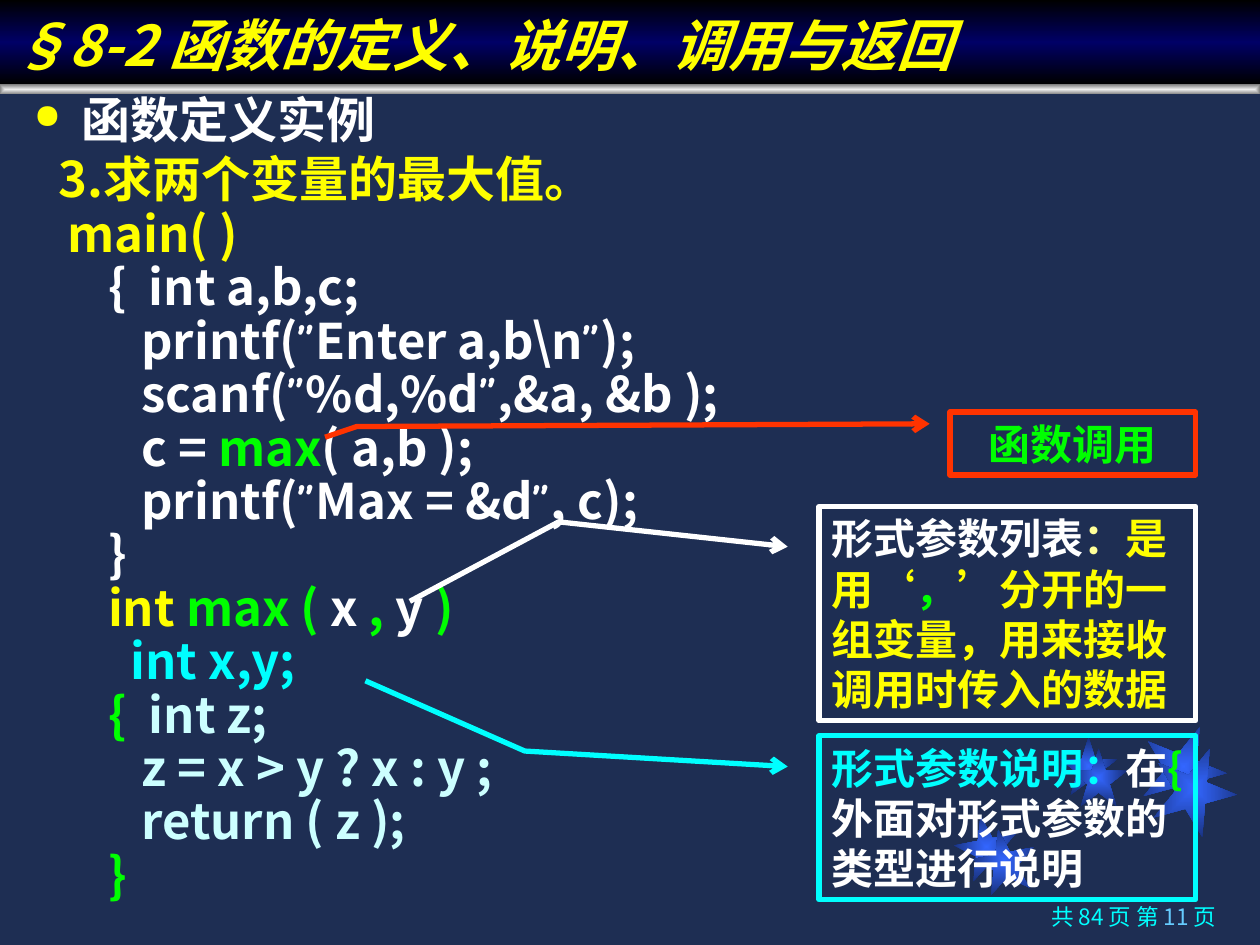
from lxml import etree
from pptx import Presentation
from pptx.dml.color import RGBColor
from pptx.enum.shapes import MSO_SHAPE
from pptx.enum.text import MSO_ANCHOR, PP_ALIGN
from pptx.oxml.ns import qn
from pptx.util import Inches, Pt

STAR, RECT, CALLOUT = MSO_SHAPE.STAR_5_POINT, MSO_SHAPE.RECTANGLE, MSO_SHAPE.LINE_CALLOUT_2
LEFT, CENTER, RIGHT = PP_ALIGN.LEFT, PP_ALIGN.CENTER, PP_ALIGN.RIGHT
TOP, MIDDLE, BOTTOM = MSO_ANCHOR.TOP, MSO_ANCHOR.MIDDLE, MSO_ANCHOR.BOTTOM

THEME = {
    "bg": "1E2E53", "white": "FFFFFF", "yellow": "FFFF00", "green": "00FF00",
    "cyan": "00FFFF", "pale": "CCFFFF", "sky": "66CCFF", "cream": "FFFF99", "red": "FF3300",
    "star": ((0, "3366FF"), (100, "182F76")),
    "rule": ((0, "EDEDED"), (100, "808080")),
    "band": ((0, "000000"), (50, "000066"), (100, "000000")),
    "title_size": 32, "body_size": 28, "note_size": 24, "page_size": 12.9,
    "sans": "Noto Sans CJK SC", "quote": "Comic Neue", "head": "Arial", "serif": "Times New Roman",
}

TITLE = "§8-2 函数的定义、说明、调用与返回"
HEADING = [("函数定义实例", "white", "head")]
EXAMPLE = [("3.求两个变量的最大值。", "yellow")]
MAIN = [("   main( )", "yellow")]
QUOTE = ("”", "white", "quote")
CODE = [
    [("{  int a,b,c;", "white")],
    [("   printf(", "white"), QUOTE, ("Enter a,b\\n", "white"), QUOTE, (");", "white")],
    [("   scanf(", "white"), QUOTE, ("%d,%d", "white"), QUOTE, (",&a, &b );", "white")],
    [("   c = ", "white"), ("max", "green"), ("( a,b );", "white")],
    [("   printf(", "white"), QUOTE, ("Max = &d", "white"), QUOTE, (", c);", "white")],
    [("}", "white")],
    [("int ", "yellow"), ("max ( ", "green"), ("x ", "white"), (",", "green"),
     (" y ", "white"), (")", "green")],
    [("  int x,y;", "cyan")],
    [("{", "green"), ("  int z;", "pale")],
    [("   z = x > y ? x : y ;", "pale")],
    [("   return ( z );", "pale")],
    [("}", "green")],
]
PAGE = [("共 84 页 第 ", "cyan"), ("11 ", "sky"), ("页", "cyan")]

CALLOUTS = [
    {"box": (6.5, 4.02, 2.99, 1.7), "line": "white", "align": LEFT,
     "leader": (0.188, -0.083, 0.072, -0.691, 0.443, -1.086),
     "runs": [("形式参数列表", "white", "serif"), ("：", "cream"), ("是用‘", "yellow"),
              ("，", "green"), ("’分开的一组变量，用来接收调用时传入的数据", "yellow")]},
    {"box": (6.5, 5.84, 2.99, 1.3), "line": "cyan", "align": LEFT,
     "leader": (0.188, -0.083, 0.093, -0.781, -0.336, -1.204),
     "runs": [("形式参数说明：", "cyan", "serif"), ("在", "white"), ("{ ", "green"),
              ("外面对形式参数的类型进行说明", "white")]},
    {"box": (7.54, 3.27, 1.95, 0.5), "line": "red", "align": CENTER,
     "leader": (0.188, -0.083, 0.231, -2.415, 0.401, -2.544),
     "runs": [("函数调用", "green", "serif")]},
]

STARS = [
    (7.58, 6.47, 0.5, 349), (8.41, 5.85, 0.46, 0), (9.06, 5.75, 0.67, 22),
    (7.72, 6.58, 0.5, 349), (8.49, 5.94, 0.46, 0), (9.14, 5.92, 0.67, 22),
]


def color(name):
    return RGBColor.from_string(THEME[name])


def sub(parent, tag, **attrs):
    return etree.SubElement(parent, qn(tag), {k: str(v) for k, v in attrs.items()})


def gradient(shape, stops, from_center):
    shape.fill.gradient()
    grad = shape.fill._xPr.find(qn("a:gradFill"))
    for child in list(grad):
        grad.remove(child)
    gs_list = sub(grad, "a:gsLst")
    for pos, rgb in stops:
        sub(sub(gs_list, "a:gs", pos=pos * 1000), "a:srgbClr", val=rgb)
    if from_center:
        path = sub(grad, "a:path", path="rect")
        sub(path, "a:fillToRect", l=50000, t=50000, r=50000, b=50000)
    else:
        sub(grad, "a:lin", ang=90 * 60000, scaled=0)


def add_shape(s, kind, box):
    sp = s.shapes.add_shape(kind, *map(Inches, box))
    sp.shadow.inherit = False
    return sp


def add_decor(s, kind, box, stops, rotation=0):
    sp = add_shape(s, kind, box)
    sp.rotation = rotation
    sp.line.fill.background()
    gradient(sp, stops, True)


def frame(sp, anchor):
    tf = sp.text_frame
    tf.word_wrap = True
    tf.vertical_anchor = anchor
    return tf


def write(p, runs, size, bold=True, align=LEFT, spacing=1.0, before=0,
          indent=(0, 0), bullet=False, italic=False):
    p.alignment, p.line_spacing, p.space_before = align, spacing, Pt(before)
    pPr = p._p.get_or_add_pPr()
    pPr.set("marL", str(Inches(indent[0])))
    pPr.set("indent", str(Inches(indent[1])))
    if bullet:
        sub(sub(pPr, "a:buClr"), "a:srgbClr", val=THEME["yellow"])
        sub(pPr, "a:buSzPct", val=70000)
        sub(pPr, "a:buChar", char="●")
    else:
        sub(pPr, "a:buNone")
    p.font.size, p.font.bold, p.font.italic = Pt(THEME[size]), bold, italic
    for text, tint, *face in runs:
        r = p.add_run()
        r.text = text
        r.font.color.rgb = color(tint)
        r.font.name = THEME[face[0] if face else "sans"]
        sub(r._r.get_or_add_rPr(), "a:ea", typeface=THEME["sans"])


def add_title(s):
    sp = s.shapes.title
    sp.left, sp.top, sp.width, sp.height = map(Inches, (0, 0, 10, 0.67))
    gradient(sp, THEME["band"], False)
    write(frame(sp, BOTTOM).paragraphs[0], [(TITLE, "yellow")], "title_size", italic=True)


def add_body(s):
    tf = frame(s.shapes.add_textbox(*map(Inches, (0.17, 0.75, 9.7, 6.58))), TOP)
    hanging = (0.38, -0.38)
    write(tf.paragraphs[0], HEADING, "body_size", spacing=0.8, indent=hanging, bullet=True)
    lines = [(EXAMPLE, 0.8, (0.2, 0)), (MAIN, 0.7, hanging)]
    lines += [(runs, 0.7, (0.9, -0.31)) for runs in CODE]
    for runs, spacing, indent in lines:
        write(tf.add_paragraph(), runs, "body_size", spacing=spacing, before=7, indent=indent)


def add_callout(s, item):
    sp = add_shape(s, CALLOUT, item["box"])
    for i, value in enumerate(item["leader"]):
        sp.adjustments[i] = value
    sp.fill.background()
    sp.line.color.rgb = color(item["line"])
    sp.line.width = Pt(3)
    sub(sp.line._get_or_add_ln(), "a:headEnd", type="arrow")
    write(frame(sp, MIDDLE).paragraphs[0], item["runs"], "note_size", align=item["align"])


def main():
    prs = Presentation()
    prs.slide_width, prs.slide_height = Inches(10), Inches(7.5)
    s = prs.slides.add_slide(prs.slide_layouts[5])
    s.background.fill.solid()
    s.background.fill.fore_color.rgb = color("bg")
    for left, top, side, rotation in STARS:
        add_decor(s, STAR, (left, top, side, side), THEME["star"], rotation)
    add_decor(s, RECT, (0, 0.67, 10, 0.08), THEME["rule"])
    page = s.shapes.add_textbox(*map(Inches, (7.12, 7.14, 2.63, 0.36)))
    write(frame(page, TOP).paragraphs[0], PAGE, "page_size", bold=False, align=RIGHT, spacing=0.9)
    add_title(s)
    add_body(s)
    for item in CALLOUTS:
        add_callout(s, item)
    prs.save("out.pptx")


if __name__ == "__main__":
    main()
